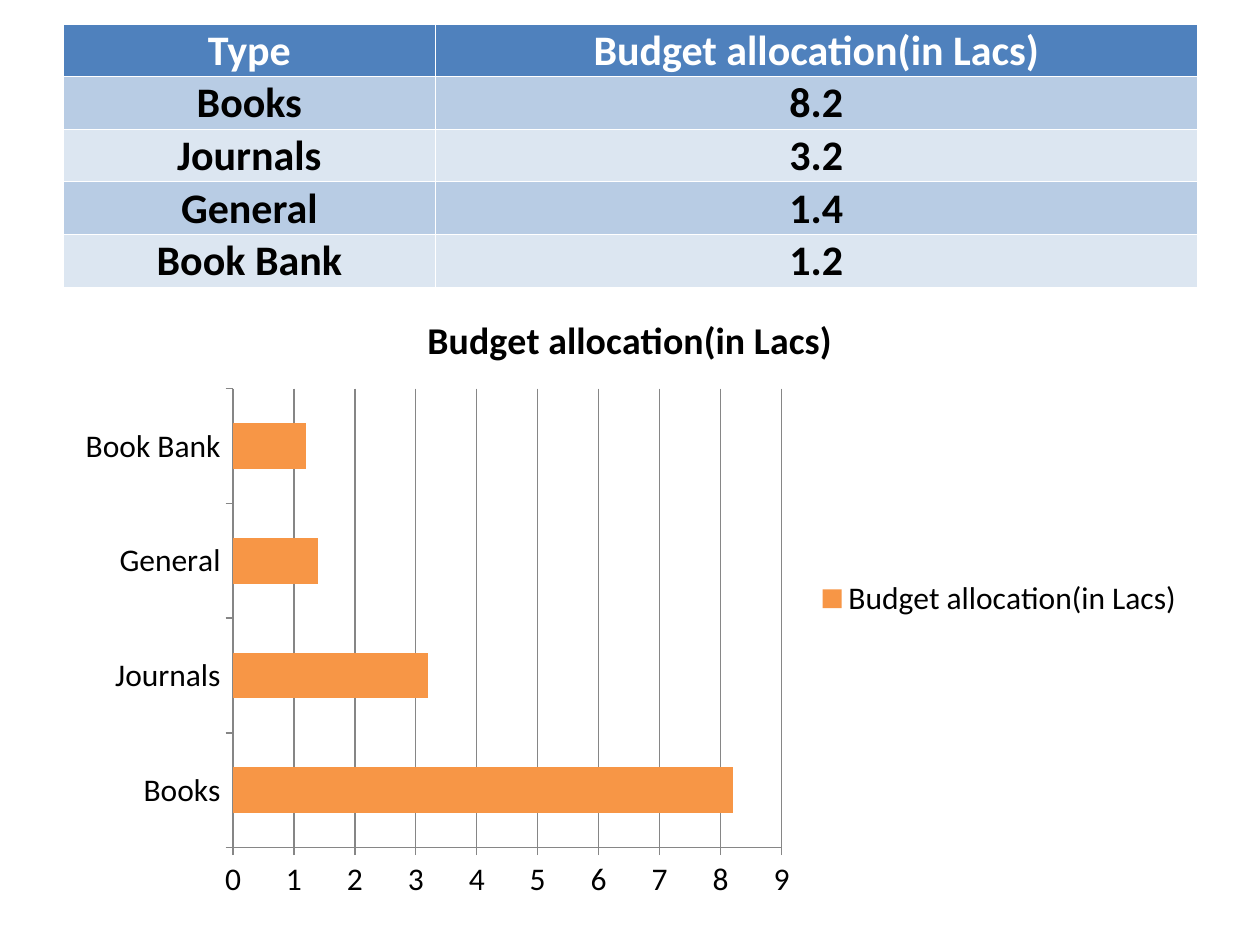
from pptx import Presentation
from pptx.chart.data import CategoryChartData
from pptx.dml.color import RGBColor
from pptx.enum.chart import XL_CHART_TYPE, XL_LEGEND_POSITION, XL_TICK_MARK
from pptx.enum.text import MSO_ANCHOR, PP_ALIGN
from pptx.oxml import parse_xml
from pptx.oxml.ns import nsdecls
from pptx.util import Pt


def rgb(value):
    """Return a colour from a hex string."""
    return RGBColor.from_string(value)


def set_font(font, size, color, bold=False, name="Calibri"):
    """Format a font."""
    font.name, font.size, font.bold = name, Pt(size), bold
    font.color.rgb = rgb(color)


def write(tf, text, align=PP_ALIGN.CENTER, **fmt):
    """Put text in a frame as one formatted run."""
    p = tf.paragraphs[0]
    p.alignment = align
    r = p.add_run()
    r.text = text
    set_font(r.font, **fmt)


class BudgetSlide:
    """Holds the style and the current slide."""

    header, bands, bar = "4F81BD", ("B8CCE4", "DCE6F1"), "F79646"
    text, white, line = "000000", "FFFFFF", "868686"

    def __init__(self, prs):
        """Add a blank slide."""
        self.s = prs.slides.add_slide(prs.slide_layouts[6])

    def cell(self, cell, text, fill, color):
        """Write and style one table cell."""
        cell.margin_left = cell.margin_right = cell.margin_top = Pt(0.72)
        cell.margin_bottom = Pt(0)
        cell.vertical_anchor = MSO_ANCHOR.BOTTOM
        write(cell.text_frame, text, size=24, color=color, bold=True)
        tcPr = cell._tc.get_or_add_tcPr()
        for side in "LRTB":
            tcPr.append(parse_xml(
                f'<a:ln{side} {nsdecls("a")} w="{Pt(0.5)}"><a:solidFill>'
                f'<a:srgbClr val="{self.white}"/></a:solidFill></a:ln{side}>'))
        cell.fill.solid()
        cell.fill.fore_color.rgb = rgb(fill)

    def table(self, rows, x, y, widths, row_height):
        """Add a table with a header and banded rows."""
        tbl = self.s.shapes.add_table(
            len(rows), len(widths), Pt(x), Pt(y),
            Pt(sum(widths)), Pt(row_height * len(rows))).table
        for col, width in zip(tbl.columns, widths):
            col.width = Pt(width)
        for i, row in enumerate(rows):
            fill = self.bands[(i - 1) % 2] if i else self.header
            color = self.text if i else self.white
            for j, value in enumerate(row):
                self.cell(tbl.cell(i, j), str(value), fill, color)

    def bar_chart(self, title, items, x, y, w, h):
        """Add a horizontal bar chart with a title and a legend."""
        data = CategoryChartData()
        data.categories = [name for name, _ in items]
        data.add_series(title, [value for _, value in items])
        chart = self.s.shapes.add_chart(
            XL_CHART_TYPE.BAR_CLUSTERED, Pt(x), Pt(y), Pt(w), Pt(h), data).chart
        set_font(chart.font, 18, self.text)
        chart.has_title = True
        write(chart.chart_title.text_frame, title, size=21.6,
              color=self.text, bold=True)
        chart.has_legend = True
        chart.legend.position = XL_LEGEND_POSITION.RIGHT
        chart.legend.include_in_layout = False
        plot = chart.plots[0]
        plot.gap_width, plot.vary_by_categories = 150, False
        fill = plot.series[0].format.fill
        fill.solid()
        fill.fore_color.rgb = rgb(self.bar)
        grid, val_axis = chart.value_axis.major_gridlines, chart.value_axis
        val_axis.minimum_scale, val_axis.maximum_scale = 0, 9
        val_axis.major_unit = 1
        for axis in (chart.category_axis, val_axis):
            axis.major_tick_mark = XL_TICK_MARK.OUTSIDE
            axis.minor_tick_mark = XL_TICK_MARK.NONE
        for part in (chart.category_axis, val_axis, grid):
            part.format.line.color.rgb = rgb(self.line)
            part.format.line.width = Pt(0.75)


def main():
    """Build the budget slide."""
    prs = Presentation()
    prs.slide_width, prs.slide_height = Pt(720), Pt(540)
    title = "Budget allocation(in Lacs)"
    items = [("Books", 8.2), ("Journals", 3.2), ("General", 1.4), ("Book Bank", 1.2)]
    budget = BudgetSlide(prs)
    budget.bar_chart(title, items, 36, 164, 648, 356.4)
    budget.table([("Type", title)] + items, 36, 13.7, (213, 435), 30.1)
    prs.save("out.pptx")


main()
